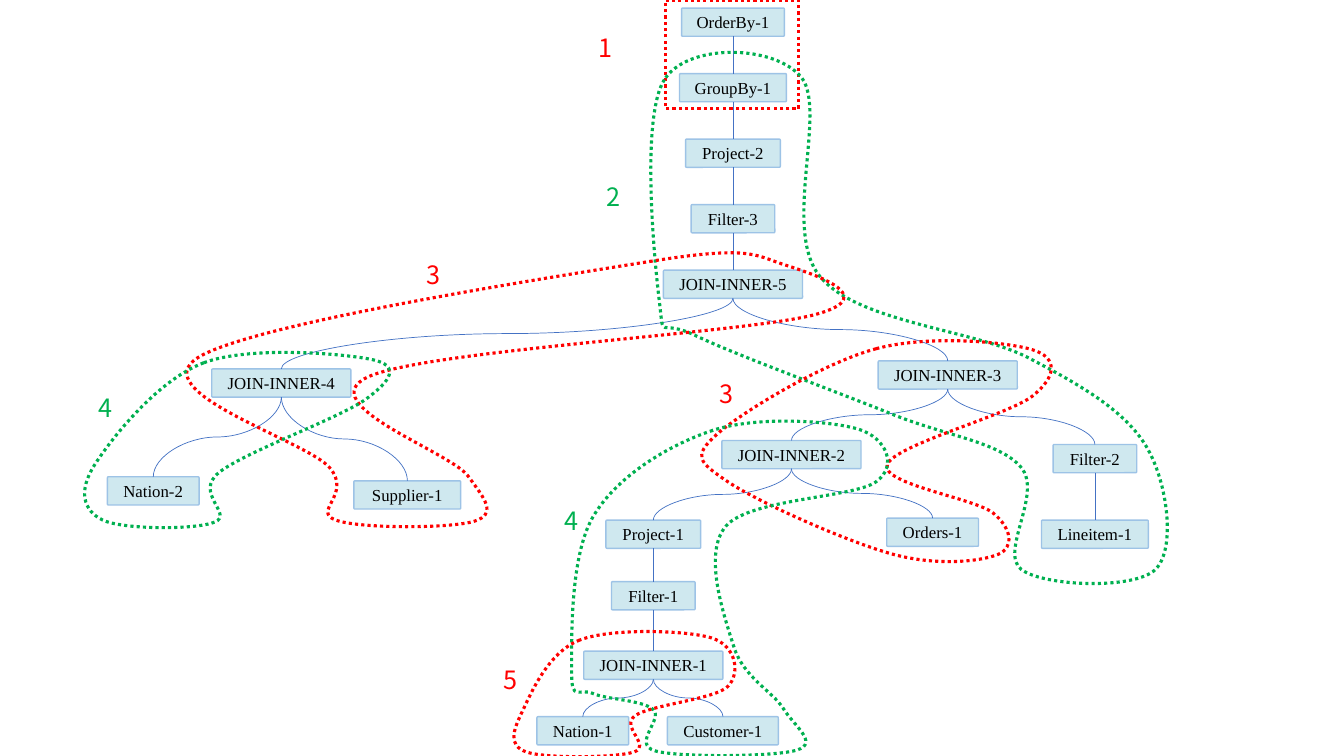
from dataclasses import dataclass

from lxml import etree
from pptx import Presentation
from pptx.dml.color import RGBColor
from pptx.enum.dml import MSO_LINE
from pptx.enum.shapes import MSO_CONNECTOR, MSO_SHAPE
from pptx.enum.text import MSO_ANCHOR, MSO_AUTO_SIZE, PP_ALIGN
from pptx.oxml.ns import qn
from pptx.util import Inches, Pt

CURVE, STRAIGHT = MSO_CONNECTOR.CURVE, MSO_CONNECTOR.STRAIGHT
ROUNDED, RECTANGLE = MSO_SHAPE.ROUNDED_RECTANGLE, MSO_SHAPE.RECTANGLE
DOTTED = MSO_LINE.ROUND_DOT
MIDDLE, CENTER = MSO_ANCHOR.MIDDLE, PP_ALIGN.CENTER
GROW = MSO_AUTO_SIZE.SHAPE_TO_FIT_TEXT

COLORS = {
    "node": "CFE8EF",
    "border": "9DC3E6",
    "link": "4472C4",
    "text": "000000",
    "red": "FF0000",
    "green": "00B050",
}
WIDTHS = {
    "OrderBy": 1.02, "GroupBy": 1.06, "Project": 0.94, "Filter": 0.83, "JOIN-INNER": 1.38,
    "Nation": 0.91, "Supplier": 1.06, "Orders": 0.91, "Lineitem": 1.06, "Customer": 1.1,
}
NODE_HEIGHT = 0.28
BOTTOM_SITE, TOP_SITE = 2, 0
CURVE_SAMPLES = 16

Point = tuple[float, float]


@dataclass(frozen=True)
class Column:
    center: float
    tops: dict[str, float]


@dataclass(frozen=True)
class Region:
    color: str
    anchors: list[Point]


@dataclass(frozen=True)
class Label:
    text: str
    color: str
    left: float
    top: float


SPINE = ["OrderBy-1", "GroupBy-1", "Project-2", "Filter-3", "JOIN-INNER-5"]
COLUMNS = [
    Column(7.27, {name: 0.08 + 0.65 * row for row, name in enumerate(SPINE)}),
    Column(2.79, {"JOIN-INNER-4": 3.66}),
    Column(1.52, {"Nation-2": 4.73}),
    Column(4.04, {"Supplier-1": 4.77}),
    Column(9.4, {"JOIN-INNER-3": 3.58}),
    Column(7.85, {"JOIN-INNER-2": 4.37}),
    Column(10.86, {"Filter-2": 4.41, "Lineitem-1": 5.16}),
    Column(9.25, {"Orders-1": 5.14}),
    Column(6.48, {"Project-1": 5.16, "Filter-1": 5.77, "JOIN-INNER-1": 6.46}),
    Column(5.78, {"Nation-1": 7.11}),
    Column(7.17, {"Customer-1": 7.11}),
]
BRANCHES = {
    "JOIN-INNER-5": ["JOIN-INNER-4", "JOIN-INNER-3"],
    "JOIN-INNER-4": ["Nation-2", "Supplier-1"],
    "JOIN-INNER-3": ["JOIN-INNER-2", "Filter-2"],
    "JOIN-INNER-2": ["Project-1", "Orders-1"],
    "JOIN-INNER-1": ["Nation-1", "Customer-1"],
}
REGIONS = [
    Region("green", [
        (6.59, 0.79), (6.54, 2.99), (6.9, 3.33), (8.85, 4.11), (10.13, 4.64), (10.13, 5.65),
        (11.46, 5.65), (11.37, 4.43), (10.2, 3.55), (8.13, 2.74), (7.95, 0.77)]),
    Region("red", [
        (6.47, 2.59), (1.96, 3.55), (3.27, 4.64), (3.33, 5.16), (4.71, 5.17),
        (4.64, 4.72), (3.65, 3.74), (8.09, 3.12), (7.76, 2.62)]),
    Region("green", [
        (2.02, 3.6), (0.94, 4.61), (1.02, 5.16), (2.13, 5.18), (2.17, 4.69), (3.63, 3.96), (3.7, 3.57)]),
    Region("red", [
        (8.69, 3.46), (7.11, 4.31), (7.22, 4.78), (8.86, 5.5), (9.9, 5.5),
        (9.85, 5.09), (8.8, 4.61), (10.24, 3.93), (10.24, 3.47)]),
    Region("green", [
        (7.07, 4.27), (5.88, 5.13), (5.67, 6.68), (5.88, 6.88), (6.48, 7.04), (6.5, 7.45),
        (7.91, 7.44), (7.77, 7.03), (7.28, 6.42), (7.2, 5.22), (8.69, 4.78), (8.52, 4.26)]),
    Region("red", [
        (5.75, 6.35), (5.18, 7.06), (5.22, 7.46), (6.29, 7.46), (6.3, 7.1), (7.22, 6.81), (7.06, 6.33)]),
]
LABELS = [
    Label("1", "red", 5.84, 0.27),
    Label("2", "green", 5.92, 1.75),
    Label("3", "red", 4.13, 2.52),
    Label("4", "green", 0.88, 3.84),
    Label("3", "red", 7.04, 3.7),
    Label("4", "green", 5.5, 4.96),
    Label("5", "red", 4.9, 6.54),
]


def color_of(name: str) -> RGBColor:
    return RGBColor.from_string(COLORS[name])


def set_line(shape, color: str, width: float) -> None:
    shape.line.color.rgb = color_of(color)
    shape.line.width = Pt(width)


def set_text(shape, text: str, font: str, size: int, color: str):
    para = shape.text_frame.paragraphs[0]
    para.text = text
    para.font.name, para.font.size = font, Pt(size)
    para.font.color.rgb = color_of(color)
    return para


def draw_node(page, name: str, center: float, top: float):
    width = WIDTHS[name.rpartition("-")[0]]
    box = page.shapes.add_shape(ROUNDED, *map(Inches, (center - width / 2, top, width, NODE_HEIGHT)))
    box.adjustments[0] = 0.04
    box.shadow.inherit = False
    box.fill.solid()
    box.fill.fore_color.rgb = color_of("node")
    set_line(box, "border", 1)
    box.text_frame.word_wrap = False
    box.text_frame.vertical_anchor = MIDDLE
    set_text(box, name, "Times New Roman", 12, "text").alignment = CENTER
    return box


def draw_link(page, parent, child, kind: MSO_CONNECTOR) -> None:
    line = page.shapes.add_connector(kind, 0, 0, 0, 0)
    line.begin_connect(parent, BOTTOM_SITE)
    line.end_connect(child, TOP_SITE)
    set_line(line, "link", 0.5)
    etree.SubElement(line.element.spPr, qn("a:effectLst"))
    if kind == CURVE:
        rightward = line.end_x > line.begin_x
        span, drop = line.width, line.height
        line.left += (span - drop) // 2
        line.top += (drop - span) // 2
        line.width, line.height = drop, span
        frame = line.element.spPr.find(qn("a:xfrm"))
        frame.set("rot", str((270 if rightward else 90) * 60000))
        frame.set("flipH", "1" if rightward else "0")


def set_dotted(shape, color: str) -> None:
    shape.shadow.inherit = False
    shape.fill.background()
    set_line(shape, color, 2.25)
    shape.line.dash_style = DOTTED


def smooth_curves(anchors: list[Point]) -> list[list[Point]]:
    count = len(anchors)
    curves = []
    for index, start in enumerate(anchors):
        before = anchors[index - 1]
        end, after = anchors[(index + 1) % count], anchors[(index + 2) % count]
        leaving = tuple(s + (e - b) / 6 for s, e, b in zip(start, end, before))
        arriving = tuple(e - (a - s) / 6 for e, a, s in zip(end, after, start))
        curves.append([start, leaving, arriving, end])
    return curves


def curve_point(curve: list[Point], t: float) -> Point:
    weights = ((1 - t) ** 3, 3 * t * (1 - t) ** 2, 3 * t * t * (1 - t), t ** 3)
    return tuple(sum(w * v for w, v in zip(weights, values)) for values in zip(*curve))


def draw_region(page, region: Region) -> None:
    curves = smooth_curves(region.anchors)
    samples = [curve_point(curve, step / CURVE_SAMPLES) for curve in curves for step in range(CURVE_SAMPLES)]
    builder = page.shapes.build_freeform(*samples[0], scale=Inches(1))
    builder.add_line_segments(samples[1:])
    shape = builder.convert_to_shape()
    set_dotted(shape, region.color)
    outline = next(shape.element.iter(qn("a:path")))
    outline.set("w", str(shape.width))
    outline.set("h", str(shape.height))
    for step in list(outline):
        outline.remove(step)
    steps = [("a:moveTo", region.anchors[:1]), *(("a:cubicBezTo", curve[1:]) for curve in curves), ("a:close", [])]
    for tag, points in steps:
        step = etree.SubElement(outline, qn(tag))
        for x, y in points:
            etree.SubElement(step, qn("a:pt"), x=str(Inches(x) - shape.left), y=str(Inches(y) - shape.top))


def draw_label(page, label: Label) -> None:
    box = page.shapes.add_textbox(*map(Inches, (label.left, label.top, 0.41, 0.4)))
    box.text_frame.word_wrap = True
    box.text_frame.auto_size = GROW
    set_text(box, label.text, "Noto Sans CJK SC", 18, label.color)


def main() -> None:
    deck = Presentation()
    deck.slide_width, deck.slide_height = Inches(13.33), Inches(7.5)
    page = deck.slides.add_slide(deck.slide_layouts[6])
    boxes = {name: draw_node(page, name, column.center, top)
             for column in COLUMNS for name, top in column.tops.items()}
    for column in COLUMNS:
        names = list(column.tops)
        for parent, child in zip(names, names[1:]):
            draw_link(page, boxes[parent], boxes[child], STRAIGHT)
    for parent, children in BRANCHES.items():
        for child in children:
            draw_link(page, boxes[parent], boxes[child], CURVE)
    set_dotted(page.shapes.add_shape(RECTANGLE, *map(Inches, (6.6, 0, 1.32, 1.08))), "red")
    for region in REGIONS:
        draw_region(page, region)
    for label in LABELS:
        draw_label(page, label)
    deck.save("out.pptx")


if __name__ == "__main__":
    main()
